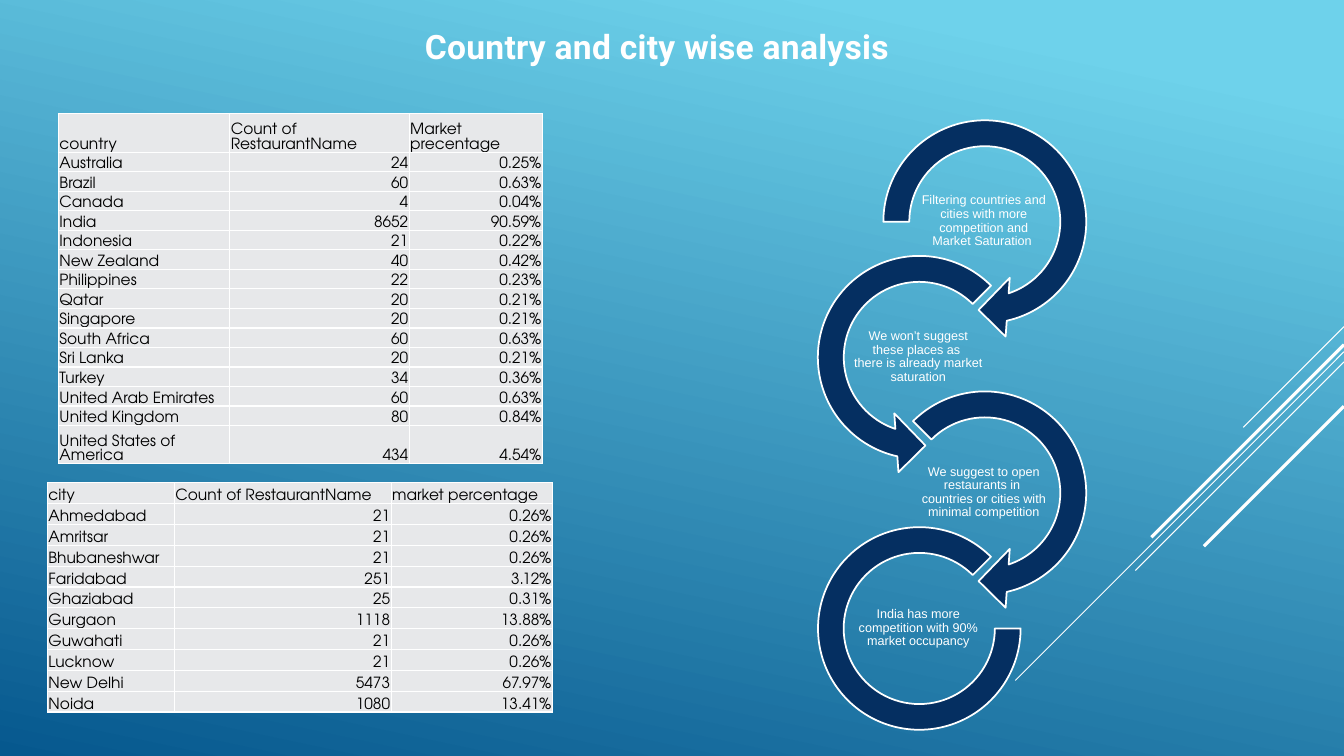
from pptx import Presentation
from pptx import util as u
from pptx.dml.color import RGBColor
from pptx.enum import shapes, text
from pptx.oxml import parse_xml
from pptx.oxml.ns import nsdecls

WHITE = RGBColor(0xFF, 0xFF, 0xFF)
BLACK = RGBColor(0, 0, 0)
SKY = RGBColor(0x6E, 0xD2, 0xEB)
OCEAN = RGBColor(0x06, 0x58, 0x8E)
NAVY = RGBColor(0x05, 0x2F, 0x61)
CELL_GREY = RGBColor(0xE7, 0xE8, 0xEA)

COLUMNS, ROWS, CELLS_PER_INCH = 133.33, 75, 10

COUNTRIES = [
    ("country", "Count of RestaurantName", "Market precentage"),
    ("Australia", "24", "0.25%"),
    ("Brazil", "60", "0.63%"),
    ("Canada", "4", "0.04%"),
    ("India", "8652", "90.59%"),
    ("Indonesia", "21", "0.22%"),
    ("New Zealand", "40", "0.42%"),
    ("Philippines", "22", "0.23%"),
    ("Qatar", "20", "0.21%"),
    ("Singapore", "20", "0.21%"),
    ("South Africa", "60", "0.63%"),
    ("Sri Lanka", "20", "0.21%"),
    ("Turkey", "34", "0.36%"),
    ("United Arab Emirates", "60", "0.63%"),
    ("United Kingdom", "80", "0.84%"),
    ("United States of America", "434", "4.54%"),
]
CITIES = [
    ("city", "Count of RestaurantName", "market percentage"),
    ("Ahmedabad", "21", "0.26%"),
    ("Amritsar", "21", "0.26%"),
    ("Bhubaneshwar", "21", "0.26%"),
    ("Faridabad", "251", "3.12%"),
    ("Ghaziabad", "25", "0.31%"),
    ("Gurgaon", "1118", "13.88%"),
    ("Guwahati", "21", "0.26%"),
    ("Lucknow", "21", "0.26%"),
    ("New Delhi", "5473", "67.97%"),
    ("Noida", "1080", "13.41%"),
]

RING = shapes.MSO_SHAPE
STEPS = [
    ("Filtering countries and cities with more competition and Market Saturation ",
     RING.CIRCULAR_ARROW, (0.11, 11.42, 45, 108, 0.125)),
    ("We won’t suggest these places as \vthere is already market saturation",
     RING.LEFT_CIRCULAR_ARROW, (0.11, 11.42, 63, 189, 0.125)),
    ("We suggest to open restaurants in \vcountries or cities with minimal competition",
     RING.CIRCULAR_ARROW, (0.11, 11.42, 45, 135, 0.125)),
    ("India has more competition with 90% market occupancy",
     RING.BLOCK_ARC, (0, 189, 0.127)),
]
RING_LEFT, RING_TOP, RING_SIZE = 86, 10.3, 23.4
RING_SHIFT, RING_PITCH, ARC_INSET = 6.5, 13.45, 1.65

RAYS = [(32.4, 10, 0.75), (34.9, 32.6, 0.75), (35.9, 20.7, 0.75),
        (34.2, 19.1, 2.25), (40.3, 13.9, 2.25)]


def grid(*cells):
    return [u.Inches(cell / CELLS_PER_INCH) for cell in cells]


def style_runs(paragraph, font, size, color, bold=False):
    for run in paragraph.runs:
        run.font.name = font
        run.font.size = u.Pt(size)
        run.font.color.rgb = color
        run.font.bold = bold


def paint_background(slide):
    fill = slide.background.fill
    fill.gradient()
    fill.gradient_angle = 258
    for stop, color, position in zip(fill.gradient_stops, (SKY, OCEAN), (0.1, 1)):
        stop.color.rgb = color
        stop.position = position


def add_ray(slide, top, reach, weight):
    ray = slide.shapes.add_connector(
        shapes.MSO_CONNECTOR.STRAIGHT,
        *grid(COLUMNS, top, COLUMNS - reach, top + reach))
    ray.line.color.rgb = WHITE
    ray.line.width = u.Pt(weight)
    ray._element.spPr.append(parse_xml(f"<a:effectLst {nsdecls('a')}/>"))


def add_label(slide, place, words, font, size, bold=False):
    label = slide.shapes.add_textbox(*grid(*place))
    frame = label.text_frame
    frame.word_wrap = True
    paragraph = frame.paragraphs[0]
    paragraph.text = words
    paragraph.alignment = text.PP_ALIGN.CENTER
    style_runs(paragraph, font, size, WHITE, bold)
    return frame


def add_title(slide):
    frame = add_label(slide, (29.7, 0, 71, 6.4),
                      "Country and city wise analysis", "Roboto", 24, True)
    heading = frame.paragraphs[0]
    heading.line_spacing = u.Pt(43.7)
    heading.runs[0].font._element.set("spc", "20")


def set_margins(part, left, top, right, bottom):
    part.margin_left, part.margin_top, part.margin_right, part.margin_bottom = grid(
        left, top, right, bottom)


def border_cell(cell):
    properties = cell._tc.get_or_add_tcPr()
    for side in ("lnL", "lnR", "lnT", "lnB"):
        properties.append(parse_xml(
            f'<a:{side} {nsdecls("a")} w="12700"><a:solidFill>'
            f'<a:srgbClr val="{WHITE}"/></a:solidFill></a:{side}>'))


def fill_cell(cell, words, align):
    border_cell(cell)
    cell.fill.solid()
    cell.fill.fore_color.rgb = CELL_GREY
    cell.vertical_anchor = text.MSO_ANCHOR.BOTTOM
    set_margins(cell, 0.1, 0.1, 0.1, 0)
    paragraph = cell.text_frame.paragraphs[0]
    paragraph.text = words
    paragraph.alignment = align
    style_runs(paragraph, "TeX Gyre Adventor", 11, BLACK)


def add_market_table(slide, left, top, records, widths, heights):
    table = slide.shapes.add_table(
        len(records), len(widths),
        *grid(left, top, sum(widths), sum(heights))).table
    table.first_row = table.horz_banding = False
    for column, width in zip(table.columns, grid(*widths)):
        column.width = width
    for row, height in zip(table.rows, grid(*heights)):
        row.height = height
    for r, record in enumerate(records):
        for c, words in enumerate(record):
            numeric = r > 0 and c > 0
            align = text.PP_ALIGN.RIGHT if numeric else text.PP_ALIGN.LEFT
            fill_cell(table.cell(r, c), words, align)


def add_step(slide, index, words, outline, adjustments):
    left = RING_LEFT - RING_SHIFT * (index % 2)
    top = RING_TOP + RING_PITCH * index
    inset = ARC_INSET if outline == RING.BLOCK_ARC else 0
    size = RING_SIZE - 2 * inset
    ring = slide.shapes.add_shape(outline, *grid(left + inset, top + inset, size, size))
    for position, value in enumerate(adjustments):
        ring.adjustments[position] = value
    ring.shadow.inherit = False
    ring.fill.solid()
    ring.fill.fore_color.rgb = NAVY
    ring.line.color.rgb = WHITE
    ring.line.width = u.Pt(1.25)

    caption = add_label(slide, (left + 5.1, top + 8.4, 13, 6.5), words, "Arial", 9)
    caption.vertical_anchor = text.MSO_ANCHOR.MIDDLE
    set_margins(caption, 0.1, 0.1, 0.1, 0.1)
    caption.paragraphs[0].line_spacing = 0.9


def main():
    deck = Presentation()
    deck.slide_width, deck.slide_height = grid(COLUMNS, ROWS)
    slide = deck.slides.add_slide(deck.slide_layouts[6])
    paint_background(slide)
    for ray in RAYS:
        add_ray(slide, *ray)
    add_title(slide)
    add_market_table(slide, 4.7, 4.79 * CELLS_PER_INCH, CITIES, (12.6, 21.5, 16),
                     [2.07] * len(CITIES))
    add_market_table(slide, 5.8, 11.3, COUNTRIES, (17, 17.8, 13.2),
                     [3.8] + [1.94] * (len(COUNTRIES) - 2) + [3.8])
    for index, step in enumerate(STEPS):
        add_step(slide, index, *step)
    deck.save("out.pptx")


if __name__ == "__main__":
    main()
